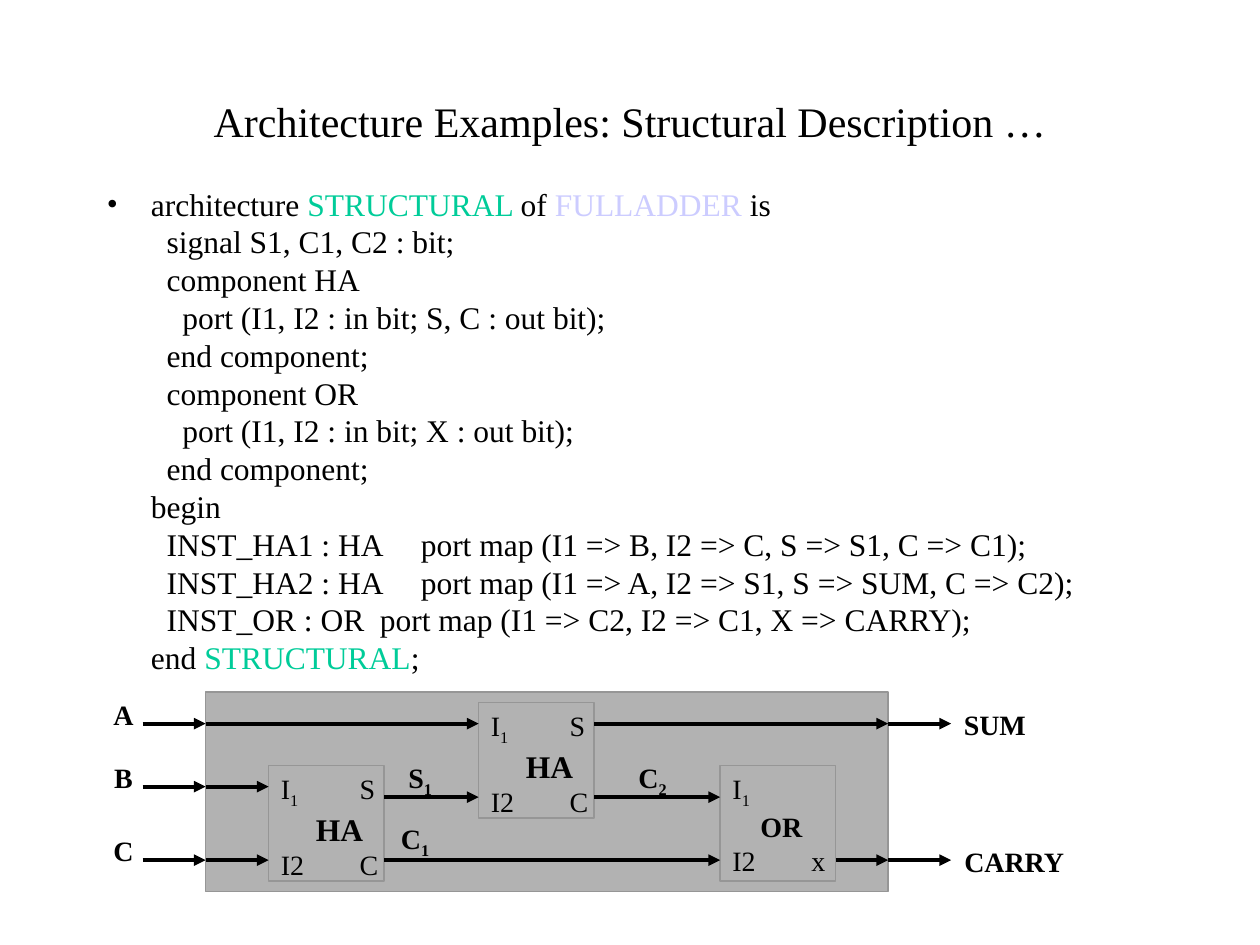
"""Slide with a structural VHDL description of a full adder and its block diagram."""
from itertools import pairwise

from lxml import etree
from pptx import Presentation
from pptx.dml.color import RGBColor
from pptx.enum.shapes import MSO_CONNECTOR, MSO_SHAPE
from pptx.enum.text import MSO_ANCHOR, PP_ALIGN
from pptx.oxml.ns import qn
from pptx.util import Pt

RECT = MSO_SHAPE.RECTANGLE
STRAIGHT = MSO_CONNECTOR.STRAIGHT
TOP, MIDDLE = MSO_ANCHOR.TOP, MSO_ANCHOR.MIDDLE
LEFT, CENTER = PP_ALIGN.LEFT, PP_ALIGN.CENTER

FONT = "Times New Roman"
BLACK, GREEN, LILAC = "000000", "00CC99", "CCCCFF"
GREY, EDGE = "B2B2B2", "969696"
CODE_MARGIN, DEPTH_STEP = 25.2, 9
CODE_SIZE, CODE_SPACING = 18, 21.6

DECLARATIONS = [
    (1, "signal S1, C1, C2 : bit;"),
    (1, "component HA"),
    (2, "port (I1, I2 : in bit; S, C : out bit);"),
    (1, "end component;"),
    (1, "component OR"),
    (2, "port (I1, I2 : in bit; X : out bit);"),
    (1, "end component;"),
    (0, "begin"),
]
INSTANCES = [
    ("INST_HA1 : HA", "port map (I1 => B, I2 => C, S => S1, C => C1);", 179.4),
    ("INST_HA2 : HA", "port map (I1 => A, I2 => S1, S => SUM, C => C2);", 179.4),
    ("INST_OR : OR", "port map (I1 => C2, I2 => C1, X => CARRY);", 156),
]
GATES = [
    (153.5, 437.5, "HA", 18, 20, "\tS", "C"),
    (273.5, 401.5, "HA", 18, 20, "\tS", "C"),
    (411.5, 437.5, "OR", 16, 16, "", "x"),
]
WIRES = [
    (413.5, (81.5, 117.5, 273.5)),
    (413.5, (339.5, 507.5, 543.5)),
    (449.5, (81.5, 117.5, 153.5)),
    (455.5, (219.5, 273.5)),
    (455.5, (339.5, 411.5)),
    (491.5, (81.5, 117.5, 153.5)),
    (491.5, (219.5, 411.5)),
    (491.5, (477.5, 507.5, 543.5)),
]
LABELS = [
    (57.6, 395.3, 25.9, "A", ""),
    (57.6, 431.3, 25.9, "B", ""),
    (57.6, 473, 25.9, "C", ""),
    (543.6, 401, 49.7, "SUM", ""),
    (543.6, 478.8, 72, "CARRY", ""),
    (226.1, 431.3, 28.1, "S", "1"),
    (222.1, 465.8, 30.2, "C", "1"),
    (357.8, 431.3, 30.2, "C", "2"),
]


def color(value):
    return RGBColor.from_string(value)


def add_text(p, text, size=16, fill=BLACK, bold=False, sub=False):
    r = p.add_run()
    r.text = text
    r.font.name, r.font.size, r.font.bold = FONT, Pt(size), bold
    r.font.color.rgb = color(fill)
    if sub:
        r._r.get_or_add_rPr().set("baseline", "-25000")


class Deck:
    def __init__(self):
        self.prs = Presentation()
        self.prs.slide_width, self.prs.slide_height = Pt(720), Pt(540)
        self.s = self.prs.slides.add_slide(self.prs.slide_layouts[6])

    def text_box(self, x, y, w, h, anchor=TOP, wrap=True):
        tf = self.s.shapes.add_textbox(Pt(x), Pt(y), Pt(w), Pt(h)).text_frame
        tf.word_wrap, tf.vertical_anchor = wrap, anchor
        return tf

    def paragraph(self, tf, align=LEFT, margin=0, indent=0, spacing=None, bullet=None, tabs=()):
        p = tf.paragraphs[0]
        if p.runs:
            p = tf.add_paragraph()
        p.alignment = align
        if spacing:
            p.line_spacing = Pt(spacing)
        pPr = p._p.get_or_add_pPr()
        if indent:
            pPr.set("marL", str(Pt(margin)))
            pPr.set("indent", str(Pt(indent)))
        if bullet:
            etree.SubElement(pPr, qn("a:buFont"), typeface=FONT)
            etree.SubElement(pPr, qn("a:buChar"), char=bullet)
        if tabs:
            stops = etree.SubElement(pPr, qn("a:tabLst"))
            for tab in tabs:
                etree.SubElement(stops, qn("a:tab"), pos=str(Pt(tab)), algn="l")
        return p

    def box(self, x, y, w, h):
        sp = self.s.shapes.add_shape(RECT, Pt(x), Pt(y), Pt(w), Pt(h))
        sp.shadow.inherit = False
        sp.fill.solid()
        sp.fill.fore_color.rgb = color(GREY)
        sp.line.color.rgb = color(EDGE)
        sp.line.width = Pt(1)
        return sp

    def gate(self, x, y, name, size, indent, output, last):
        tf = self.box(x, y, 66, 66).text_frame
        tf.word_wrap, tf.vertical_anchor, tf.margin_right = True, TOP, 0
        p = self.paragraph(tf, tabs=[45])
        add_text(p, "I")
        add_text(p, "1", sub=True)
        if output:
            add_text(p, output)
        add_text(self.paragraph(tf, indent=indent), name, size=size, bold=True)
        add_text(self.paragraph(tf, tabs=[45]), f"I2\t{last}")

    def arrow(self, x1, x2, y):
        line = self.s.shapes.add_connector(STRAIGHT, Pt(x1), Pt(y), Pt(x2), Pt(y))
        line.line.color.rgb = color(BLACK)
        line.line.width = Pt(2.25)
        etree.SubElement(line.line._get_or_add_ln(), qn("a:tailEnd"), type="triangle")
        etree.SubElement(line._element.spPr, qn("a:effectLst"))

    def label(self, x, y, w, text, index):
        tf = self.text_box(x, y, w, 29.5 if index else 26.6, wrap=False)
        tf.margin_left = tf.margin_right = 0
        p = self.paragraph(tf, CENTER)
        add_text(p, text, bold=True)
        if index:
            add_text(p, index, bold=True, sub=True)

    def title(self, text):
        tf = self.text_box(54, 36, 612, 66, MIDDLE)
        add_text(self.paragraph(tf, CENTER), text, size=24)

    def code(self, first, last):
        tf = self.text_box(54, 102, 612, 420)
        p = self.paragraph(tf, margin=CODE_MARGIN, indent=-CODE_MARGIN,
                           spacing=CODE_SPACING, bullet="•")
        for text, fill in first:
            add_text(p, text, size=CODE_SIZE, fill=fill)
        for depth, text in DECLARATIONS:
            p = self.paragraph(tf, indent=CODE_MARGIN + DEPTH_STEP * depth, spacing=CODE_SPACING)
            add_text(p, text, size=CODE_SIZE)
        for name, ports, tab in INSTANCES:
            p = self.paragraph(tf, spacing=CODE_SPACING, tabs=[CODE_MARGIN + DEPTH_STEP, tab])
            add_text(p, f"\t{name}\t{ports}", size=CODE_SIZE)
        p = self.paragraph(tf, indent=CODE_MARGIN, spacing=CODE_SPACING)
        for text, fill in last:
            add_text(p, text, size=CODE_SIZE, fill=fill)


def main():
    deck = Deck()
    deck.title("Architecture Examples: Structural Description …")
    deck.code(
        [("architecture ", BLACK), ("STRUCTURAL ", GREEN), ("of ", BLACK),
         ("FULLADDER ", LILAC), ("is", BLACK)],
        [("end ", BLACK), ("STRUCTURAL", GREEN), (";", BLACK)],
    )
    deck.box(117.5, 395.5, 390, 114)
    for gate in GATES:
        deck.gate(*gate)
    for y, stops in WIRES:
        for x1, x2 in pairwise(stops):
            deck.arrow(x1, x2, y)
    for label in LABELS:
        deck.label(*label)
    deck.prs.save("out.pptx")


if __name__ == "__main__":
    main()
